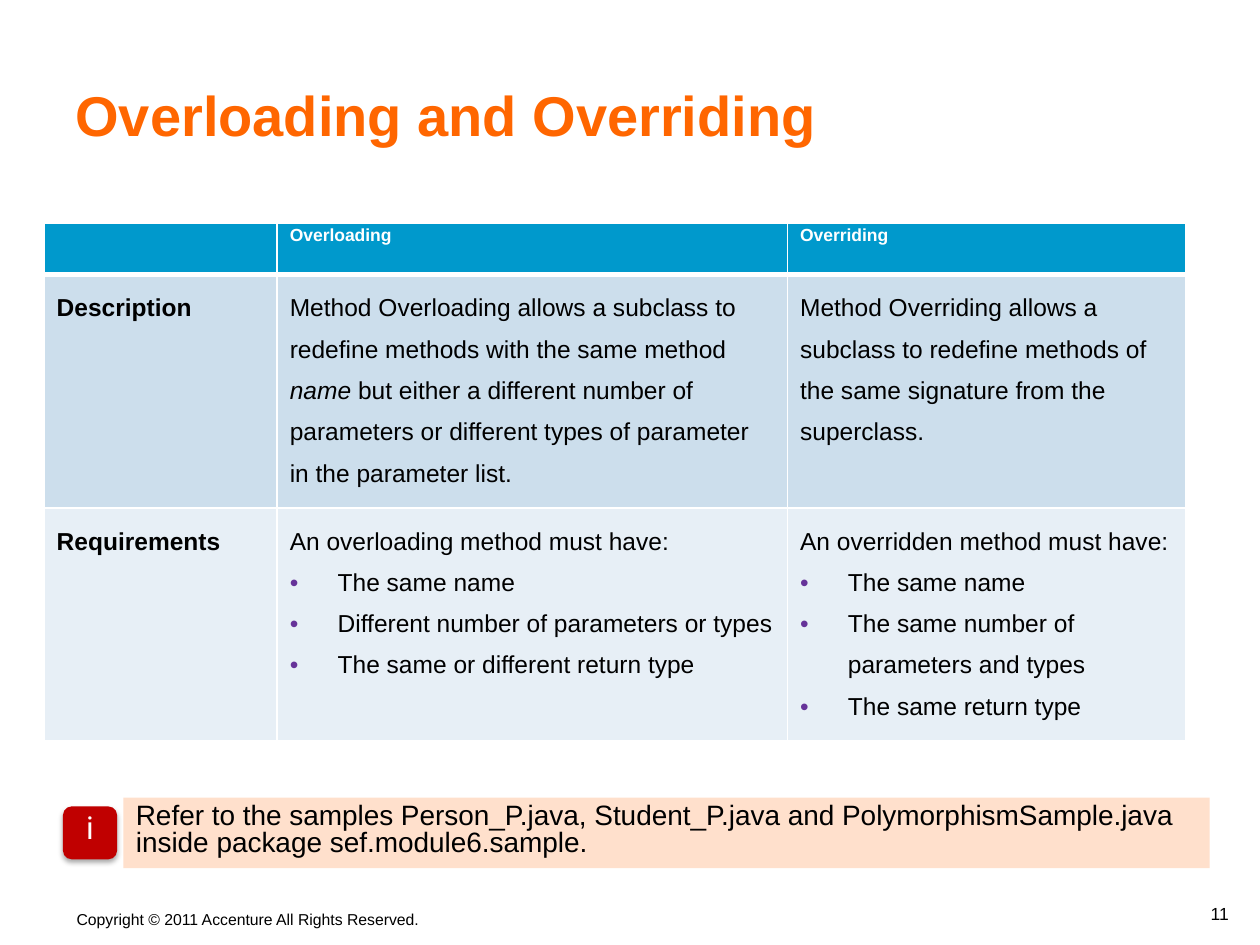
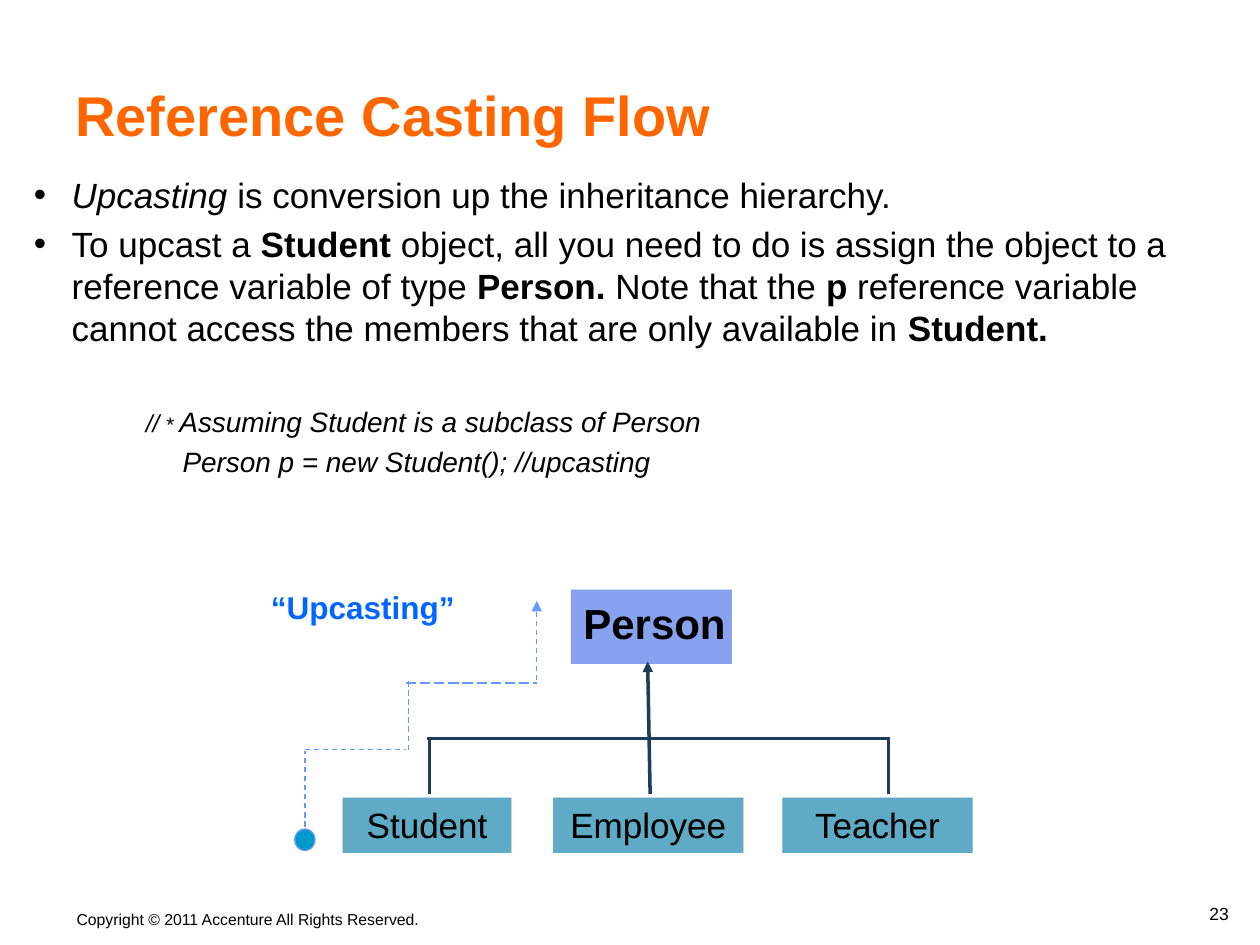
"""Build two slides on overloading, overriding and reference casting."""
from dataclasses import dataclass

from lxml.etree import SubElement
from pptx import Presentation as Deck
from pptx.dml.color import RGBColor as Color
from pptx.enum.dml import MSO_LINE_DASH_STYLE as Dash
from pptx.enum.shapes import MSO_CONNECTOR as Link, MSO_SHAPE as Shape
from pptx.enum.text import MSO_ANCHOR as Anchor, PP_ALIGN as Align
from pptx.oxml.ns import qn
from pptx.util import Inches, Pt

COLUMNS, ROWS = 100, 75


@dataclass(frozen=True)
class Theme:
    """Colours, fonts and type sizes of the deck."""
    font: str = "Arial"
    icon_font: str = "Roboto"
    black: str = "000000"
    white: str = "FFFFFF"
    title: str = "FF6600"
    accent: str = "0099CC"
    band_dark: str = "CCDEEC"
    band_light: str = "E7EFF6"
    bullet: str = "663399"
    note: str = "FFE0CC"
    alert: str = "C00000"
    parent: str = "3366FF"
    parent_shadow: str = "C0C0C0"
    child_shadow: str = "808080"
    route: str = "6699FF"
    route_label: str = "0066FF"
    tree: str = "1E3D5C"
    title_size: int = 32
    parent_size: int = 24
    body_size: int = 20
    label_size: int = 18
    code_size: int = 16
    cell_size: int = 14
    star_size: int = 12
    small_size: int = 10
    footer_size: int = 9


THEME = Theme()


def write(para, text, *, size=THEME.body_size, color=THEME.black, font=THEME.font,
          bold=False, italic=False):
    """Add one formatted span to a paragraph."""
    span = para.add_run()
    span.text = text
    span.font.size, span.font.name = Pt(size), font
    span.font.bold, span.font.italic = bold, italic
    span.font.color.rgb = Color.from_string(color)


def add_color(parent, color, opacity=100):
    """Add a colour element with its opacity in percent."""
    node = SubElement(parent, qn("a:srgbClr"), val=color)
    SubElement(node, qn("a:alpha"), val=str(opacity * 1000))


class Page:
    """Hold the theme and the current slide, and draw on its grid."""

    def __init__(self, deck, title, number, theme=THEME):
        self.theme = theme
        self.column = deck.slide_width / COLUMNS
        self.row = deck.slide_height / ROWS
        self.shapes = deck.slides.add_slide(deck.slide_layouts[6]).shapes
        self.text((5.1, 71.7, 29.7, 2.5), "Copyright © 2011 Accenture All Rights Reserved.",
                  wrap=False, size=theme.footer_size)
        self.text((80, 70.8, 18.5, 3), number, anchor=Anchor.BOTTOM, align=Align.RIGHT,
                  spacing=0.8, size=theme.small_size)
        self.text((5, 2.2, 89.2, 10), title, anchor=Anchor.BOTTOM,
                  size=theme.title_size, color=theme.title, bold=True)

    def place(self, *grid):
        """Turn alternating columns and rows into slide lengths."""
        return [round(value * (self.row if index % 2 else self.column))
                for index, value in enumerate(grid)]

    def para(self, frame, content, first=False, align=Align.LEFT, spacing=None, before=0,
             left=0, hang=0, bullet=None, **style):
        """Write a paragraph from plain text or (text, format) pairs."""
        para = frame.paragraphs[0] if first else frame.add_paragraph()
        para.alignment = align
        if spacing:
            para.line_spacing = spacing
        para.space_before = Pt(before)
        props = para._p.get_or_add_pPr()
        props.set("marL", str(Inches(left)))
        props.set("indent", str(-Inches(hang)))
        if bullet:
            SubElement(SubElement(props, qn("a:buClr")), qn("a:srgbClr"), val=bullet)
            SubElement(props, qn("a:buFont"), typeface=self.theme.font)
            SubElement(props, qn("a:buChar"), char="•")
        for text, extra in [(content, {})] if isinstance(content, str) else content:
            write(para, text, **{**style, **extra})

    def text(self, area, content=None, wrap=True, anchor=Anchor.TOP, inset=0.1, **style):
        """Add a text box and return its frame."""
        frame = self.shapes.add_textbox(*self.place(*area)).text_frame
        frame.word_wrap, frame.vertical_anchor = wrap, anchor
        frame.margin_left = frame.margin_right = Inches(inset)
        if content:
            self.para(frame, content, first=True, **style)
        return frame

    def box(self, area, fill, content=None, kind=Shape.RECTANGLE, opacity=100, line=None,
            shadow=None, **style):
        """Add a filled shape with optional text, outline and shadow."""
        box = self.shapes.add_shape(kind, *self.place(*area))
        box.shadow.inherit = False
        box.fill.solid()
        box.fill.fore_color.rgb = Color.from_string(fill)
        props = box.element.spPr
        if opacity < 100:
            paint = props.find(qn("a:solidFill"))
            paint.remove(paint[0])
            add_color(paint, fill, opacity)
        if line:
            box.line.color.rgb = Color.from_string(line)
            box.line.width = Pt(0.75)
        else:
            box.line.fill.background()
        if shadow:
            color, strength, blur, offset = shadow
            node = SubElement(props.find(qn("a:effectLst")), qn("a:outerShdw"),
                              blurRad=str(Pt(blur)), dist=str(Pt(offset)),
                              dir="5400000", algn="ctr", rotWithShape="0")
            add_color(node, color, strength)
        if content:
            box.text_frame.vertical_anchor = Anchor.TOP
            box.text_frame.word_wrap = True
            self.para(box.text_frame, content, first=True, **style)

    def line(self, start, end, color, width, dash=None, arrow=False):
        """Add a straight line, with an arrowhead at its end if asked."""
        line = self.shapes.add_connector(Link.STRAIGHT, *self.place(*start, *end))
        line.line.color.rgb = Color.from_string(color)
        line.line.width = Pt(width)
        if dash:
            line.line.dash_style = dash
        props = line.element.spPr
        if arrow:
            SubElement(props.find(qn("a:ln")), qn("a:tailEnd"), type="triangle")
        SubElement(props, qn("a:effectLst"))

    def cell(self, cell, fill, paras, bottom=1, **style):
        """Fill a table cell, draw its borders and write its paragraphs."""
        props = cell._tc.get_or_add_tcPr()
        for side, width in (("L", 1), ("R", 1), ("T", 1), ("B", bottom)):
            edge = SubElement(props, qn(f"a:ln{side}"), w=str(Pt(width)))
            add_color(SubElement(edge, qn("a:solidFill")), self.theme.white)
        cell.fill.solid()
        cell.fill.fore_color.rgb = Color.from_string(fill)
        for index, content in enumerate(paras):
            listed = dict(left=0.38, hang=0.38, bullet=self.theme.bullet) if index else {}
            self.para(cell.text_frame, content, first=not index, **listed, **style)

    def table(self, corner, widths, heights, rows):
        """Add a table with a header row, a label column and banded rows."""
        theme = self.theme
        area = self.place(*corner, sum(widths), sum(heights))
        table = self.shapes.add_table(len(rows), len(widths), *area).table
        table.first_row = table.horz_banding = False
        for column, width in zip(table.columns, widths):
            column.width = round(width * self.column)
        for row, height in zip(table.rows, heights):
            row.height = round(height * self.row)
        for r, row in enumerate(rows):
            for c, paras in enumerate(row):
                if r == 0:
                    self.cell(table.cell(r, c), theme.accent, paras, bottom=3, spacing=0.8,
                              size=theme.small_size, color=theme.white, bold=True)
                else:
                    self.cell(table.cell(r, c), theme.band_dark if r % 2 else theme.band_light,
                              paras, spacing=1.5, size=theme.cell_size, bold=c == 0)


def build_comparison(deck):
    """Compare overloading with overriding in a table."""
    page = Page(deck, "Overloading and Overriding", "11")
    theme = page.theme
    overloading = [
        ("Method Overloading allows a subclass to redefine methods with the same method ", {}),
        ("name ", {"italic": True}),
        ("but either a different number of parameters or different types of parameter "
         "in the parameter list.", {})]
    page.table((3.5, 17.7), (18.5, 40.5, 31.6), (4.1, 17.2, 17.4), [
        [[], ["Overloading"], ["Overriding"]],
        [["Description"], [overloading],
         ["Method Overriding allows a subclass to redefine methods of the same signature "
          "from the superclass."]],
        [["Requirements"],
         ["An overloading method must have:", "The same name",
          "Different number of parameters or types", "The same or different return type"],
         ["An overridden method must have:", "The same name",
          "The same number of parameters and types", "The same return type"]]])
    page.box((9.8, 63.3, 86.2, 5.6), theme.note,
             "Refer to the samples Person_P.java, Student_P.java and PolymorphismSample.java "
             "inside package sef.module6.sample.", spacing=0.8, size=theme.code_size)
    page.box((5, 64, 4.3, 4.2), theme.alert, "i", kind=Shape.ROUNDED_RECTANGLE,
             shadow=(theme.black, 35, 3.1, 1.8), align=Align.CENTER, spacing=0.8,
             size=theme.label_size, color=theme.white, font=theme.icon_font)


def build_casting(deck):
    """Explain upcasting with a code sample and a class tree."""
    page = Page(deck, "Reference Casting Flow", "23")
    theme = page.theme
    bold, italic = {"bold": True}, {"italic": True}

    page.box((45.3, 46.8, 12.8, 5.9), theme.parent, opacity=50,
             shadow=(theme.parent_shadow, 50, 0, 0))
    page.text((46.1, 46.9, 11.7, 5), "Person", inset=0, align=Align.CENTER,
              size=theme.parent_size, bold=True)

    page.box((23.4, 65.8, 1.6, 1.7), theme.accent, kind=Shape.OVAL, line=theme.route)
    for start, end, dash, arrow in (
            ((24.2, 65.6), (24.2, 59.6), Dash.DASH, False),
            ((24.2, 59.5), (32.2, 59.5), Dash.DASH, False),
            ((32.4, 59.5), (32.4, 54), Dash.DASH, False),
            ((32.2, 54.2), (42.6, 54.2), Dash.LONG_DASH, False),
            ((42.6, 54), (42.6, 47.7), Dash.DASH, True)):
        page.line(start, end, theme.route, 0.75, dash, arrow)
    page.text((19.7, 46.2, 18.2, 4), "“Upcasting”", align=Align.CENTER,
              size=theme.label_size, color=theme.route_label, bold=True)

    page.line((51.6, 63), (51.4, 52.5), theme.tree, 2, arrow=True)
    page.line((33.9, 58.6), (70.6, 58.6), theme.tree, 2)
    for column in (34.1, 70.5):
        page.line((column, 63), (column, 58.7), theme.tree, 2)

    frame = page.text((1.7, 13.3, 92.5, 28.1))
    listed = dict(left=0.3, hang=0.3, bullet=theme.black)
    page.para(frame, [("Upcasting ", italic),
                      ("is conversion up the inheritance hierarchy.", {})],
              first=True, **listed)
    page.para(frame, [
        ("To upcast a ", {}), ("Student", bold),
        (" object, all you need to do is assign the object to a reference variable of type ", {}),
        ("Person.", bold), (" Note that the ", {}), ("p", bold),
        (" reference variable cannot access the members that are only available in ", {}),
        ("Student.", bold)], before=4, **listed)
    page.para(frame, [("//", {"size": theme.cell_size}), (" * ", {"size": theme.star_size}),
                      ("Assuming Student is a subclass of Person", {})],
              before=32, left=1.18, hang=0.29, size=theme.code_size, italic=True)
    page.para(frame, "Person p = new Student(); //upcasting", before=3.2, left=1.18,
              size=theme.code_size, italic=True)

    for name, column, width in (("Employee", 43.9, 15.1), ("Teacher", 62.1, 15.1),
                                ("Student", 27.2, 13.4)):
        page.box((column, 63.3, width, 4.4), theme.accent, name, opacity=50,
                 shadow=(theme.child_shadow, 50, 0, 0), align=Align.CENTER)


def main():
    """Build the deck and save it."""
    deck = Deck()
    deck.slide_width, deck.slide_height = Inches(10), Inches(7.5)
    build_comparison(deck)
    build_casting(deck)
    deck.save("out.pptx")


if __name__ == "__main__":
    main()
